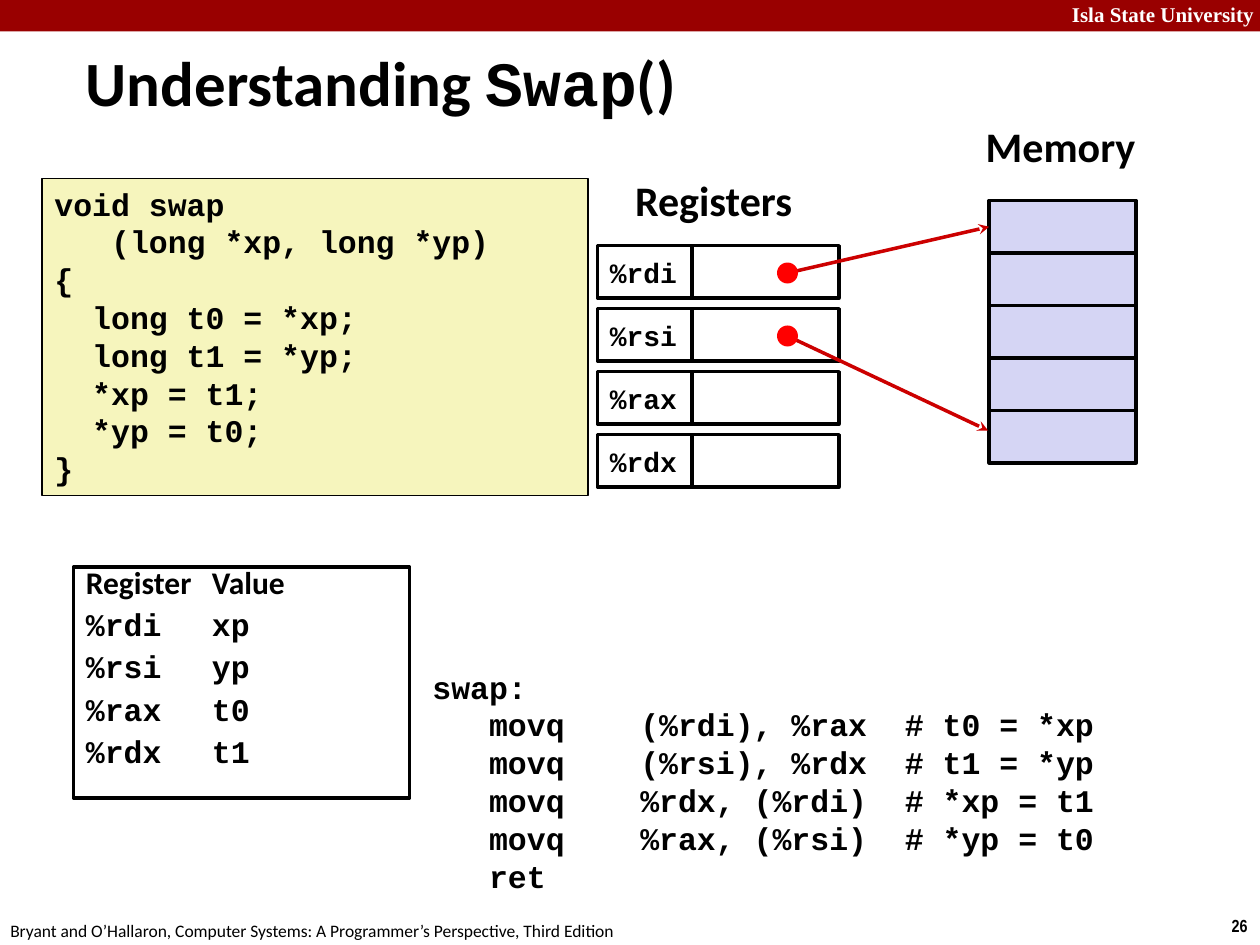
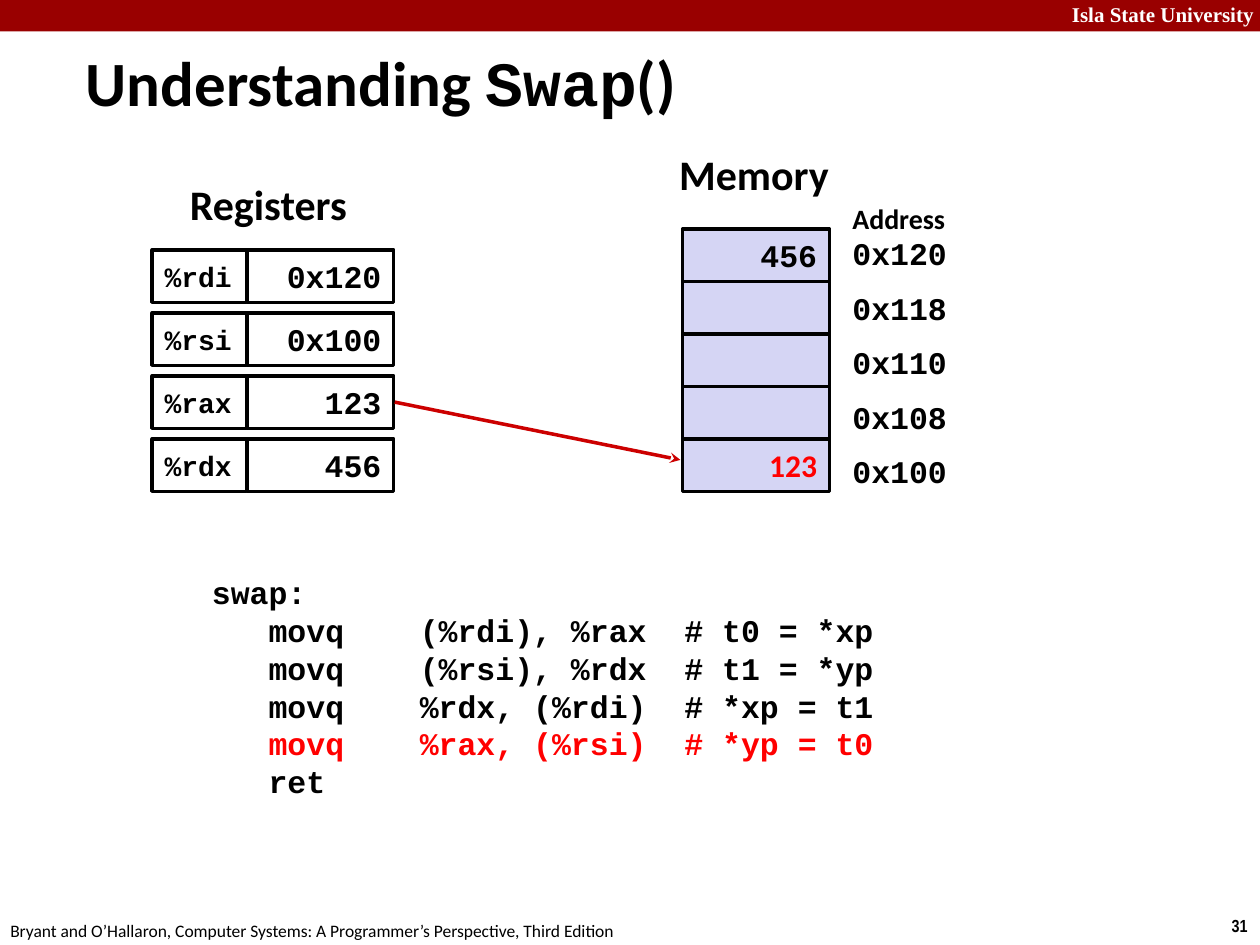
from lxml import etree
from pptx import Presentation
from pptx import util as u
from pptx.dml.color import RGBColor
from pptx.enum import shapes, text
from pptx.oxml.ns import qn

CELL = u.Inches(1) / 12
BLACK, WHITE, RED = "000000", "FFFFFF", "FF0000"
BAND, ARROW, CODE_FILL, MEMORY_FILL = "990000", "CC0000", "F6F5BD", "D5D5F4"
SANS, MONO = "Calibri", "Courier New"
RECT, OVAL = shapes.MSO_SHAPE.RECTANGLE, shapes.MSO_SHAPE.OVAL
LEFT, RIGHT = text.PP_ALIGN.LEFT, text.PP_ALIGN.RIGHT
TOP, MIDDLE = text.MSO_ANCHOR.TOP, text.MSO_ANCHOR.MIDDLE


def paint(target, color):
    if color is None:
        target.background()
    else:
        target.solid()
        target.fore_color.rgb = RGBColor.from_string(color)


def box(slide, left, top, width, height, lines=(), kind=None, fill=None, line=None,
        weight=2, font=MONO, size=18, color=BLACK, bold=True, align=LEFT, anchor=TOP,
        stops=(), spacing=None, before=0):
    place = [round(value * CELL) for value in (left, top, width, height)]
    if kind is None:
        shape = slide.shapes.add_textbox(*place)
    else:
        shape = slide.shapes.add_shape(kind, *place)
        shape.shadow.inherit = False
        paint(shape.fill, fill)
        paint(shape.line.fill, line)
        if line:
            shape.line.width = u.Pt(weight)
    frame = shape.text_frame
    frame.word_wrap = True
    frame.vertical_anchor = anchor
    for index, runs in enumerate(lines):
        paragraph = frame.add_paragraph() if index else frame.paragraphs[0]
        paragraph.alignment = align
        if spacing:
            paragraph.line_spacing = spacing
        if index and before:
            paragraph.space_before = u.Pt(before)
        if stops:
            tabs = etree.SubElement(paragraph._p.get_or_add_pPr(), qn("a:tabLst"))
            for stop in stops:
                etree.SubElement(tabs, qn("a:tab"), pos=str(u.Inches(stop)), algn="l")
        for words, run_font, run_color in [(runs, font, color)] if isinstance(runs, str) else runs:
            run = paragraph.add_run()
            run.text = words
            run.font.name = run_font
            run.font.size = u.Pt(size)
            run.font.bold = bold
            paint(run.font.fill, run_color)


presentation = Presentation()
presentation.slide_width = round(120 * CELL)
presentation.slide_height = round(90 * CELL)

register_names = ["%rdi", "%rsi", "%rax", "%rdx"]
assembly = [
    "swap:",
    "\tmovq\t(%rdi), %rax\t# t0 = *xp",
    "\tmovq\t(%rsi), %rdx\t# t1 = *yp",
    "\tmovq\t%rdx, (%rdi)\t# *xp = t1",
    "\tmovq\t%rax, (%rsi)\t# *yp = t0",
    "\tret",
]
steps = [
    dict(number="26", registers=(56.9, 23.4), values=[""] * 4,
         memory=(94.2, 19.1), cells=[("", MONO, BLACK)] * 5,
         assembly=(40, 63), current=None,
         arrows=[(75, 26, 94.2, 21.6), (75, 32, 94.1, 41)]),
    dict(number="31", registers=(14.5, 23.8), values=["0x120", "0x100", "123", "456"],
         memory=(65, 21.8),
         cells=[("456", MONO, BLACK)] + [("", MONO, BLACK)] * 3 + [("123", SANS, RED)],
         assembly=(19, 54), current=4,
         arrows=[(37.6, 38.3, 64.8, 43.8)]),
]

slides = []
for step in steps:
    slide = presentation.slides.add_slide(presentation.slide_layouts[6])
    slides.append(slide)

    box(slide, 0, 0, 120, 3, kind=RECT, fill=BAND)
    box(slide, 96, -0.4, 24.6, 3.6, ["Isla State University"],
        font="Times New Roman", size=12, color=WHITE, align=RIGHT)
    box(slide, 114, 86.6, 6, 3.2, [step["number"]], font="Arial Narrow", size=10, align=RIGHT)
    box(slide, -0.2, 87, 61, 3.2,
        ["Bryant and O’Hallaron, Computer Systems: A Programmer’s Perspective, Third Edition"],
        font=SANS, size=10, bold=False)
    box(slide, 7, 4, 83.6, 7.5,
        [[("Understanding ", SANS, BLACK), ("Swap", MONO, BLACK), ("()", SANS, BLACK)]],
        size=36, anchor=MIDDLE)

    left, top = step["registers"]
    box(slide, left + 2.4, top - 7.4, 18, 6, ["Registers"], font=SANS, size=24)
    for row, (name, value) in enumerate(zip(register_names, step["values"])):
        box(slide, left, top + 6 * row, 9, 5, [name], RECT, WHITE, BLACK,
            size=16, anchor=MIDDLE)
        box(slide, left + 9, top + 6 * row, 14, 5, [value] if value else [], RECT,
            WHITE, BLACK, align=RIGHT, anchor=MIDDLE)

    left, top = step["memory"]
    box(slide, left - 1.5, top - 8.2, 17, 6, ["Memory"], font=SANS, size=24)
    for row, (value, font, color) in enumerate(step["cells"]):
        box(slide, left, top + 5 * row, 14, 5, [value] if value else [], RECT,
            MEMORY_FILL, BLACK, font=font, color=color, align=RIGHT, anchor=MIDDLE)

    lines = [[(words, MONO, RED if index == step["current"] else BLACK)]
             for index, words in enumerate(assembly)]
    box(slide, *step["assembly"], 77, 23, lines, stops=(0.45, 1.65, 3.75))

    for ends in step["arrows"]:
        arrow = slide.shapes.add_connector(shapes.MSO_CONNECTOR.STRAIGHT,
                                           *[round(end * CELL) for end in ends])
        paint(arrow.line.fill, ARROW)
        arrow.line.width = u.Pt(2)
        etree.SubElement(arrow.line._get_or_add_ln(), qn("a:tailEnd"), type="stealth")
        etree.SubElement(arrow._element.spPr, qn("a:effectLst"))

source_slide, trace_slide = slides

swap_source = [
    "void swap",
    "\t\t(long *xp, long *yp)",
    "{",
    "\tlong t0 = *xp;",
    "\tlong t1 = *yp;",
    "\t*xp = t1;",
    "\t*yp = t0;",
    "}",
]
box(source_slide, 4, 17, 52, 30.2, swap_source, RECT, CODE_FILL, BLACK, weight=1,
    stops=(0.3, 0.45))

variables = [f"{name}\t{variable}"
             for name, variable in zip(register_names, ["xp", "yp", "t0", "t1"])]
box(source_slide, 7, 54, 32, 22, [[("Register\tValue", SANS, BLACK)]] + variables,
    RECT, None, BLACK, stops=(1,), spacing=0.7, before=9)

for row in range(2):
    box(source_slide, 74, 25 + 6 * row, 2, 2, kind=OVAL, fill=RED)

box(trace_slide, 80, 18.6, 16, 4.4, ["Address"], font=SANS, size=16)
for row, address in enumerate(["0x120", "0x118", "0x110", "0x108", "0x100"]):
    box(trace_slide, 80, 21.7 + 5.2 * row, 16, 4.8, [address])

presentation.save("out.pptx")
